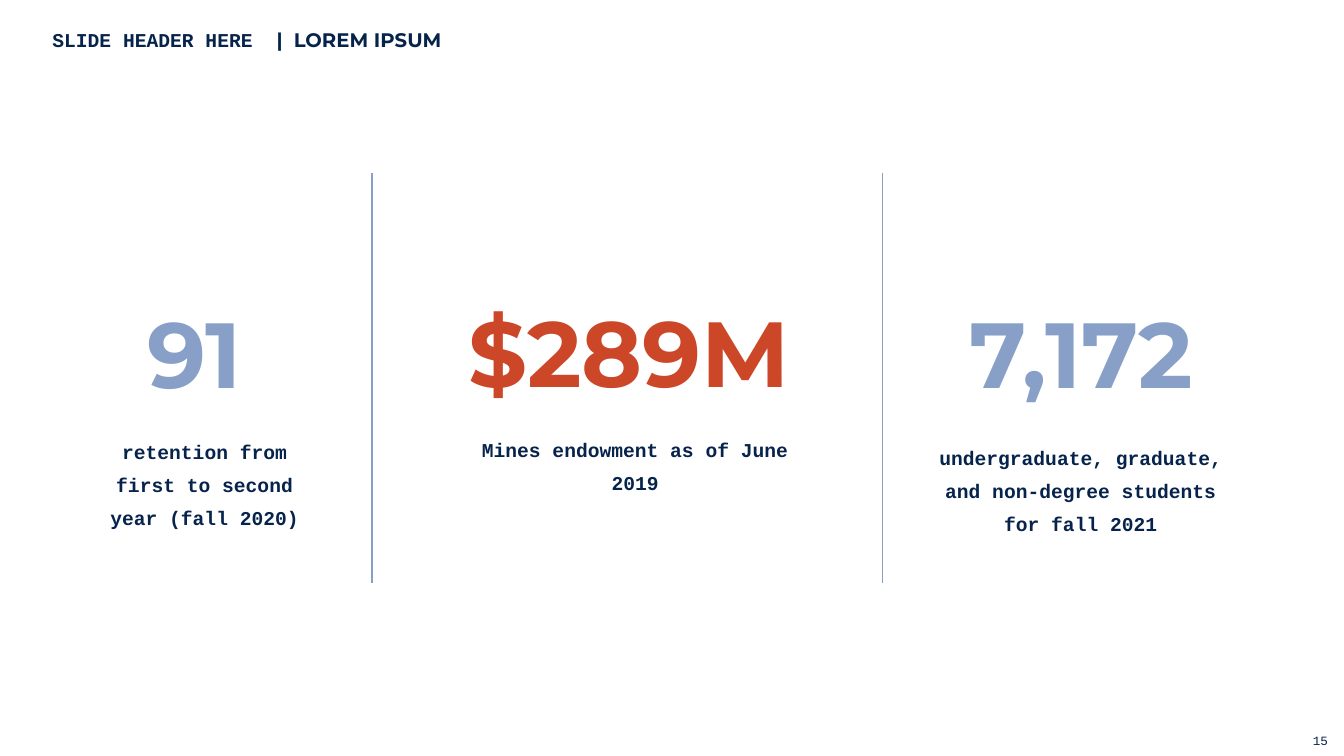
"""Build a slide of three key figures separated by vertical rules."""
from pptx import Presentation
from pptx.dml.color import RGBColor
from pptx.enum.shapes import MSO_CONNECTOR
from pptx.enum.text import MSO_ANCHOR, MSO_AUTO_SIZE, PP_ALIGN
from pptx.oxml.ns import qn
from pptx.util import Inches, Pt
from lxml import etree

NAVY, BLUE, RED = "06234B", "889FC7", "CC4628"
HEADING_FONT, BODY_FONT = "Montserrat", "Courier New"


def color(value):
    return RGBColor.from_string(value)


def fill_text(shape, box, text, font_name, size, text_color, bold, alignment, line_spacing):
    shape.left, shape.top, shape.width, shape.height = [Inches(length) for length in box]
    frame = shape.text_frame
    frame.word_wrap = True
    frame.auto_size = MSO_AUTO_SIZE.NONE
    frame.vertical_anchor = MSO_ANCHOR.TOP
    paragraph = frame.paragraphs[0]
    paragraph.alignment = alignment
    paragraph.line_spacing = line_spacing
    paragraph.add_run().text = text
    paragraph.font.name = font_name
    paragraph.font.size = Pt(size)
    paragraph.font.bold = bold
    paragraph.font.color.rgb = color(text_color)
    return paragraph


presentation = Presentation()
presentation.slide_width = Inches(13.33)
presentation.slide_height = Inches(7.5)
slide = presentation.slides.add_slide(presentation.slide_layouts[5])
slide.background.fill.solid()
slide.background.fill.fore_color.rgb = color("FFFFFF")

header = fill_text(slide.shapes.title, (0.42, 0.23, 5.4, 0.34), "SLIDE HEADER HERE  ",
                   BODY_FONT, 14, NAVY, True, PP_ALIGN.LEFT, 1.0)
subtitle = header.add_run()
subtitle.text = "|  LOREM IPSUM"
subtitle.font.name = HEADING_FONT

for x in (3.69, 8.75):
    divider = slide.shapes.add_connector(
        MSO_CONNECTOR.STRAIGHT, Inches(x), Inches(5.78), Inches(x), Inches(1.72))
    divider.line.color.rgb = color(BLUE)
    divider.line.width = Pt(1)
    etree.SubElement(divider._element.spPr, qn("a:effectLst"))

figures = [
    ("91", BLUE, (0.64, 3.01, 2.58, 1.49),
     "retention from first to second year (fall 2020)", (0.87, 4.22, 2.32, 0.54)),
    ("$289M", RED, (3.91, 3, 4.66, 1.69),
     "Mines endowment as of June 2019", (4.64, 4.2, 3.32, 0.33)),
    ("7,172", BLUE, (8.94, 3.01, 3.57, 1.49),
     "undergraduate, graduate, and non-degree students for fall 2021", (9.09, 4.28, 3.26, 1.5)),
]
for number, number_color, number_box, caption, caption_box in figures:
    fill_text(slide.shapes.add_textbox(0, 0, 0, 0), number_box, number,
              HEADING_FONT, 66, number_color, True, PP_ALIGN.CENTER, 0.9)
    fill_text(slide.shapes.add_textbox(0, 0, 0, 0), caption_box, caption,
              BODY_FONT, 14, NAVY, True, PP_ALIGN.CENTER, 1.4)

fill_text(slide.shapes.add_textbox(0, 0, 0, 0), (10.27, 7.22, 3, 0.2), "15",
          BODY_FONT, 9, NAVY, False, PP_ALIGN.RIGHT, 1.0)

presentation.save("out.pptx")
